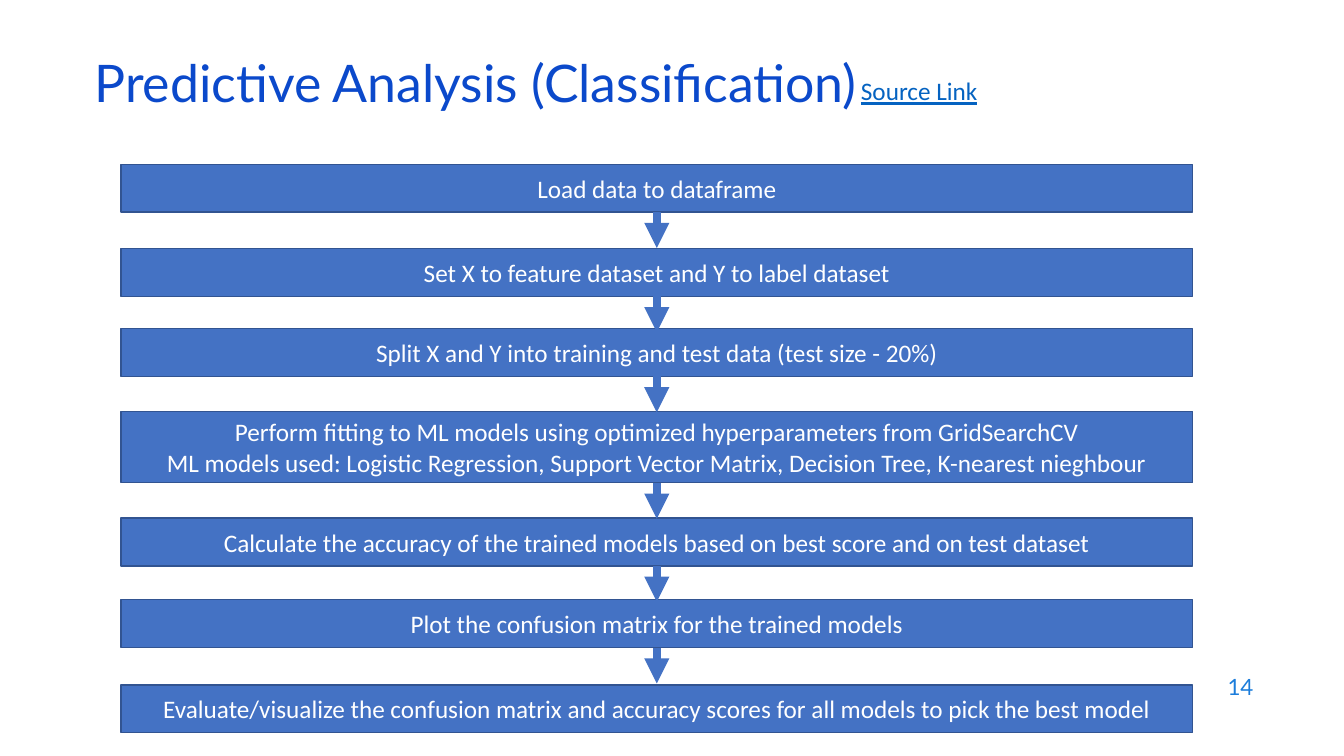
from pptx import Presentation
from pptx.dml.color import RGBColor
from pptx.enum.shapes import MSO_CONNECTOR as CONN, MSO_SHAPE as SHAPE
from pptx.enum.text import MSO_ANCHOR as ANCHOR, PP_ALIGN as ALIGN
from pptx.oxml.ns import qn
from pptx.util import Inches, Pt
from lxml.etree import SubElement


def color(hex_text):
    return RGBColor.from_string(hex_text)


class FlowSlide:
    """Draws on one slide; every length is a percentage of the slide's size."""
    FILL, EDGE, WHITE = "4472C4", "325491", "FFFFFF"
    BODY, HEAD = "Calibri", "Lato"

    def __init__(self, prs):
        self.prs = prs
        self.s = prs.slides.add_slide(prs.slide_layouts[6])

    def x(self, share):
        return round(self.prs.slide_width * share / 100)

    def y(self, share):
        return round(self.prs.slide_height * share / 100)

    def area(self, left, top, width, height):
        return self.x(left), self.y(top), self.x(width), self.y(height)

    def add_text(self, sp, lines, size, font, ink, align, anchor, spacing=None, underline=None):
        tf = sp.text_frame
        tf.word_wrap = True
        tf.vertical_anchor = anchor
        for i, line in enumerate(lines):
            p = tf.add_paragraph() if i else tf.paragraphs[0]
            p.alignment = align
            p.line_spacing = spacing
            r = p.add_run()
            r.text = line
            r.font.size = Pt(size)
            r.font.name = font
            r.font.underline = underline
            r.font.color.rgb = color(ink)

    def label(self, area, text, size, font, ink, align=ALIGN.LEFT,
              anchor=ANCHOR.MIDDLE, **style):
        sp = self.s.shapes.add_textbox(*self.area(*area))
        self.add_text(sp, [text], size, font, ink, align, anchor, **style)

    def box(self, area, lines):
        sp = self.s.shapes.add_shape(SHAPE.RECTANGLE, *self.area(*area))
        sp.shadow.inherit = False
        sp.fill.solid()
        sp.fill.fore_color.rgb = color(self.FILL)
        sp.line.color.rgb = color(self.EDGE)
        sp.line.width = Pt(1)
        self.add_text(sp, lines, 18, self.BODY, self.WHITE, ALIGN.CENTER, ANCHOR.MIDDLE)

    def arrow(self, x, top, length):
        c = self.s.shapes.add_connector(CONN.STRAIGHT, self.x(x), self.y(top),
                                        self.x(x), self.y(top + length))
        c.line.color.rgb = color(self.FILL)
        c.line.width = Pt(6)
        props = c._element.spPr
        SubElement(props.find(qn("a:ln")), qn("a:tailEnd"), type="triangle")
        SubElement(props, qn("a:effectLst"))


# Steps of the flow: top edge and lines of text
STEPS = [
    (21.73, ["Load data to dataframe"]),
    (32.87, ["Set X to feature dataset and Y to label dataset"]),
    (43.47, ["Split X and Y into training and test data (test size - 20%)"]),
    (54.4, ["Perform fitting to ML models using optimized hyperparameters from GridSearchCV",
            "ML models used: Logistic Regression, Support Vector Matrix, Decision Tree, "
            "K-nearest nieghbour"]),
    (68.53, ["Calculate the accuracy of the trained models based on best score and on test dataset"]),
    (79.33, ["Plot the confusion matrix for the trained models"]),
    (90.6, ["Evaluate/visualize the confusion matrix and accuracy scores for all models "
            "to pick the best model"]),
]
LEFT, WIDTH = 9, 79.74
HEIGHTS = {1: 6.33, 2: 9.47}  # box height by number of lines
ARROW = 4.75


def main():
    prs = Presentation()
    prs.slide_width, prs.slide_height = Inches(13.33), Inches(7.5)
    flow = FlowSlide(prs)

    # Page number, title and link label
    flow.label((71.49, 87.87, 22.51, 5.87), "14", 16, flow.HEAD, "1C7DDB", ALIGN.RIGHT)
    flow.label((6.3, 7.87, 86.27, 8), "Predictive Analysis (Classification)",
               37, flow.HEAD, "0B49CB", spacing=0.7)
    flow.label((63.32, 9.33, 11.18, 5.33), "Source Link", 18, flow.BODY, "0563C1",
               anchor=ANCHOR.TOP, underline=True)

    # Boxes first, so that the arrow tips lie above them
    for top, lines in STEPS:
        flow.box((LEFT, top, WIDTH, HEIGHTS[len(lines)]), lines)
    for top, lines in STEPS[:-1]:
        flow.arrow(LEFT + WIDTH / 2, top + HEIGHTS[len(lines)], ARROW)

    prs.save("out.pptx")


if __name__ == "__main__":
    main()
